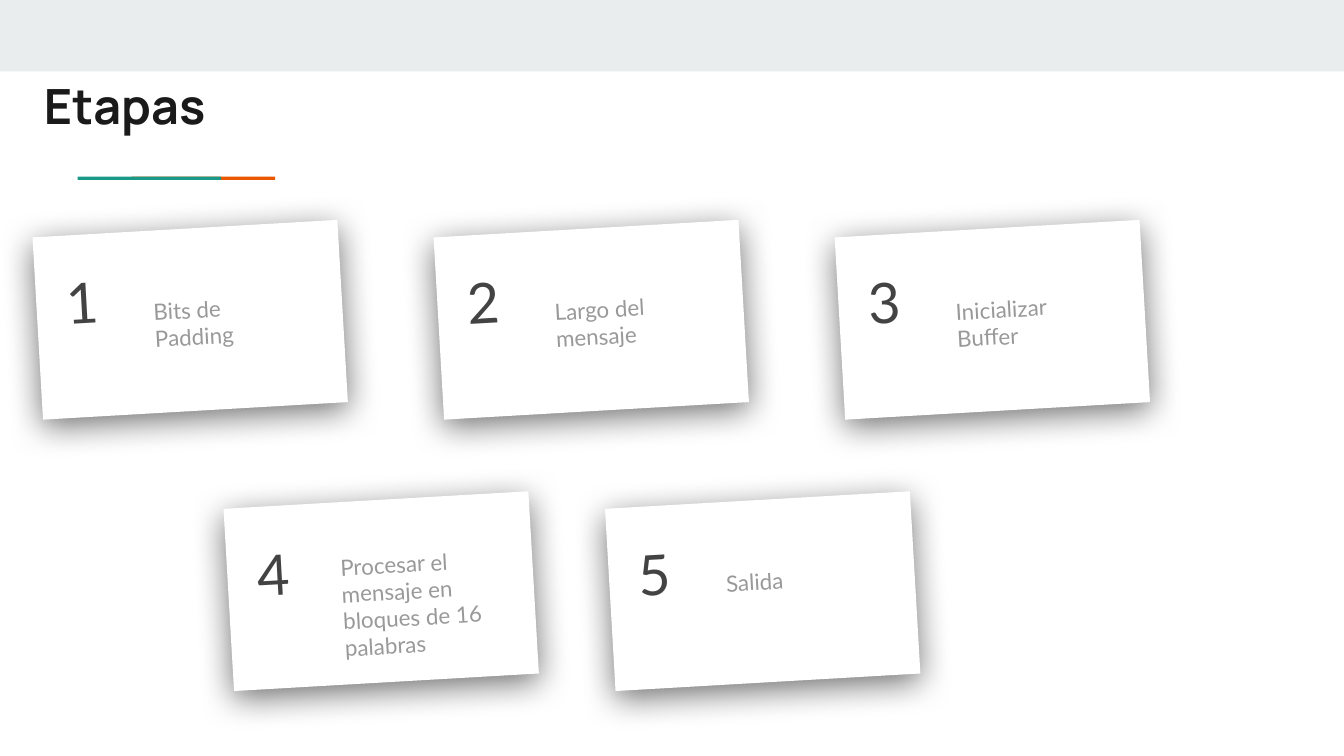
from dataclasses import dataclass
from lxml.etree import SubElement
from pptx import Presentation
from pptx.dml.color import RGBColor as Rgb
from pptx.enum.shapes import MSO_SHAPE as Preset
from pptx.enum.text import MSO_ANCHOR as Anchor
from pptx.oxml.ns import qn
from pptx.util import Cm, Pt


@dataclass(frozen=True)
class Theme:
    band: str = "E9EDEE"
    orange: str = "EB5600"
    teal: str = "1A9988"
    ink: str = "1A1A1A"
    number: str = "434343"
    label: str = "999999"
    card: str = "FFFFFF"
    shadow: str = "000000"
    heading_font: str = "Manrope"
    body_font: str = "Lato"
    title_size: int = 26
    number_size: int = 30
    label_size: int = 12


class StageSlide:
    def __init__(self, slide, theme):
        self.slide = slide
        self.theme = theme

    def block(self, left, top, width, height, color, preset=Preset.RECTANGLE):
        block = self.slide.shapes.add_shape(
            preset, Cm(left), Cm(top), Cm(width), Cm(height))
        block.shadow.inherit = False
        block.fill.solid()
        block.fill.fore_color.rgb = Rgb.from_string(color)
        block.line.fill.background()
        return block

    def text(self, left, top, width, height, words, size, color, font,
             bold=False, tilt=0):
        box = self.slide.shapes.add_textbox(
            Cm(left), Cm(top), Cm(width), Cm(height))
        box.rotation = tilt
        frame = box.text_frame
        frame.word_wrap = True
        frame.vertical_anchor = Anchor.TOP
        frame.margin_left = frame.margin_right = Cm(0.25)
        frame.margin_top = frame.margin_bottom = Cm(0.25)
        run = frame.paragraphs[0].add_run()
        run.text = words
        run.font.size = Pt(size)
        run.font.name = font
        run.font.bold = bold
        run.font.color.rgb = Rgb.from_string(color)

    def soft_shadow(self, card):
        effects = card.element.spPr.find(qn("a:effectLst"))
        shadow = SubElement(
            effects, qn("a:outerShdw"), blurRad=str(Pt(18)), dist=str(Pt(4)),
            dir="5400000", algn="bl", rotWithShape="0")
        tone = SubElement(shadow, qn("a:srgbClr"), val=self.theme.shadow)
        SubElement(tone, qn("a:alpha"), val="55000")

    def card(self, left, top, number, label, label_dx, label_dy):
        theme = self.theme
        card = self.block(left, top, 5.77, 3.45, theme.card,
                          Preset.ROUNDED_RECTANGLE)
        card.adjustments[0] = 0
        card.rotation = 356.7
        self.soft_shadow(card)
        self.text(left + 0.29, top + 0.41, 4.17, 1.85, str(number),
                  theme.number_size, theme.number, theme.body_font, tilt=356.8)
        self.text(left + label_dx, top + label_dy, 3.35, 0.69, label,
                  theme.label_size, theme.label, theme.body_font, tilt=356.8)


def main():
    deck = Presentation()
    deck.slide_width, deck.slide_height = Cm(25.4), Cm(14.29)
    theme = Theme()
    stages = StageSlide(deck.slides.add_slide(deck.slide_layouts[6]), theme)

    stages.block(0, 0, 25.4, 1.35, theme.band)
    for left, color in ((2.49, theme.orange), (1.47, theme.teal)):
        stages.block(left, 3.34, 2.71, 0.06, color)
    stages.text(0.58, 1.19, 8.41, 2.64, "Etapas", theme.title_size, theme.ink,
                theme.heading_font, bold=True)

    usual = (1.93, 0.99)
    raised = (1.85, 0.69)
    rows = (
        (0.71, 4.32, 7.58, (("Bits de Padding", usual),
                            ("Largo del mensaje", usual),
                            ("Inicializar Buffer", usual))),
        (4.32, 9.45, 7.21, (("Procesar el mensaje en bloques de 16 palabras",
                             raised),
                            ("Salida", usual))),
    )
    number = 0
    for start, top, step, labels in rows:
        for column, (label, offset) in enumerate(labels):
            number += 1
            stages.card(start + column * step, top, number, label, *offset)

    deck.save("out.pptx")


if __name__ == "__main__":
    main()
